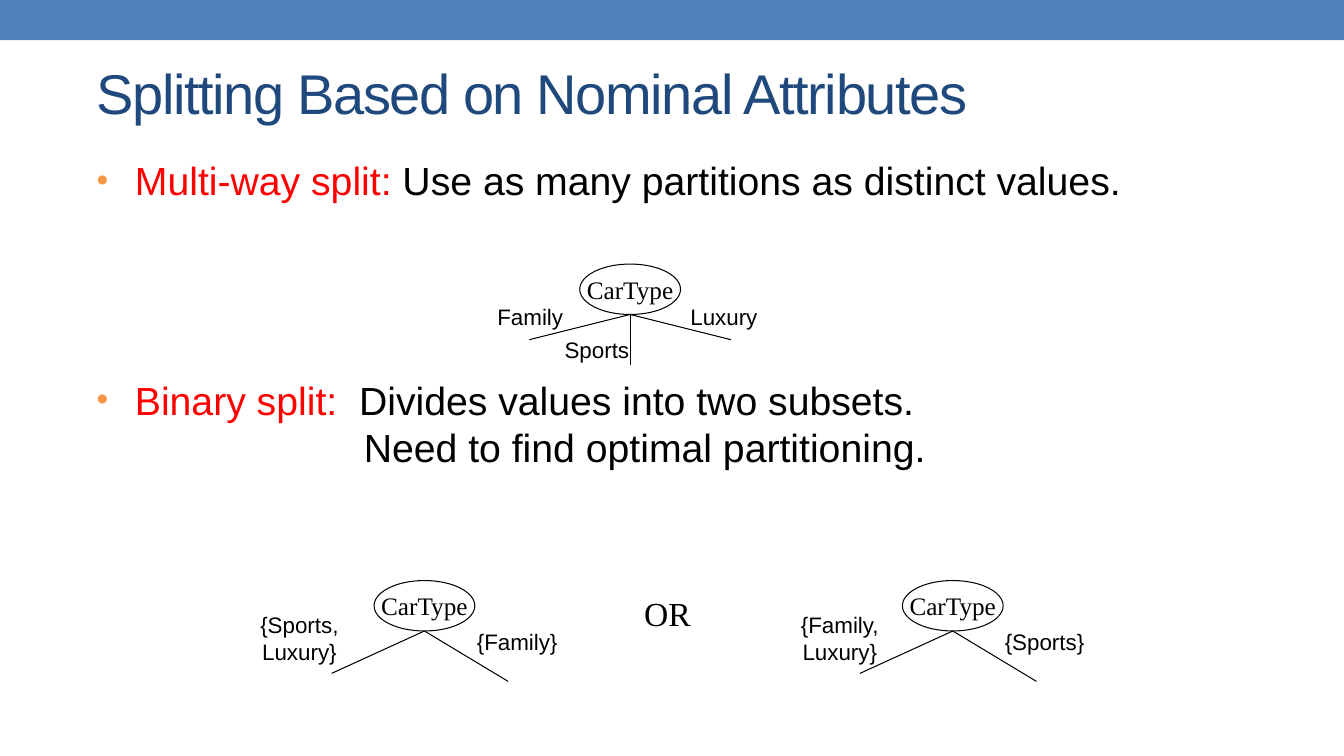
from pptx import Presentation
from pptx.dml.color import RGBColor
from pptx.enum.shapes import MSO_CONNECTOR, MSO_SHAPE
from pptx.enum.text import MSO_ANCHOR, PP_ALIGN
from pptx.oxml.ns import qn
from pptx.util import Inches, Pt
from lxml import etree

RECT, OVAL = MSO_SHAPE.RECTANGLE, MSO_SHAPE.OVAL
STRAIGHT = MSO_CONNECTOR.STRAIGHT
TOP, MIDDLE = MSO_ANCHOR.TOP, MSO_ANCHOR.MIDDLE
LEFT, CENTER = PP_ALIGN.LEFT, PP_ALIGN.CENTER
SANS, SERIF = "Arial", "Times New Roman"
BLACK, WHITE, RED = "000000", "FFFFFF", "FF0000"
BLUE, NAVY, ORANGE = "4F81BD", "1F497D", "F79646"


def color(value):
    return RGBColor.from_string(value)


def add_run(p, text, size=16, font=SANS, fill=BLACK, spacing=None):
    for i, line in enumerate(text.split("\n")):
        if i:
            p.add_line_break()
        r = p.add_run()
        r.text = line
        r.font.size = Pt(size)
        r.font.name = font
        r.font.color.rgb = color(fill)
        if spacing is not None:
            r.font._element.set("spc", str(spacing))


def indent(p, margin, hanging=0):
    pPr = p._p.get_or_add_pPr()
    pPr.set("marL", str(Inches(margin)))
    pPr.set("indent", str(-Inches(hanging)))
    return pPr


def add_bullet(p):
    pPr = indent(p, 0.38, 0.38)
    clr = etree.SubElement(pPr, qn("a:buClr"))
    etree.SubElement(clr, qn("a:srgbClr"), val=ORANGE)
    etree.SubElement(pPr, qn("a:buSzPct"), val="85000")
    etree.SubElement(pPr, qn("a:buFont"), typeface=SANS)
    etree.SubElement(pPr, qn("a:buChar"), char="•")


class Deck:
    def __init__(self):
        self.prs = Presentation()
        self.prs.slide_width = Inches(13.33)
        self.prs.slide_height = Inches(7.5)
        self.s = self.prs.slides.add_slide(self.prs.slide_layouts[6])

    def shape(self, shapes, kind, x, y, w, h, fill, line=None):
        sp = shapes.add_shape(kind, Inches(x), Inches(y), Inches(w), Inches(h))
        sp.shadow.inherit = False
        sp.fill.solid()
        sp.fill.fore_color.rgb = color(fill)
        if line:
            sp.line.color.rgb = color(line)
            sp.line.width = Pt(0.75)
        else:
            sp.line.fill.background()
        return sp

    def line(self, shapes, x1, y1, x2, y2):
        cx = shapes.add_connector(STRAIGHT, Inches(x1), Inches(y1), Inches(x2), Inches(y2))
        cx.line.color.rgb = color(BLACK)
        cx.line.width = Pt(0.75)
        etree.SubElement(cx._element.spPr, qn("a:effectLst"))

    def text(self, shapes, x, y, w, h, text, anchor=MIDDLE, align=CENTER, wrap=False, **fmt):
        tf = shapes.add_textbox(Inches(x), Inches(y), Inches(w), Inches(h)).text_frame
        tf.word_wrap = wrap
        tf.vertical_anchor = anchor
        tf.paragraphs[0].alignment = align
        add_run(tf.paragraphs[0], text, **fmt)
        return tf

    def point(self, y, h, term, text, extra=None):
        tf = self.text(self.s.shapes, 0.86, y, 11.39, h, term, anchor=TOP,
                       align=LEFT, wrap=True, size=28, fill=RED)
        add_run(tf.paragraphs[0], text, size=28)
        if extra:
            p = tf.add_paragraph()
            add_run(p, extra, size=28)
            indent(p, 2.65)
        for p in tf.paragraphs:
            p.line_spacing = Pt(33.6)
        add_bullet(tf.paragraphs[0])

    def tree(self, x, y, branches, labels):
        shapes = self.s.shapes.add_group_shape().shapes
        sp = self.shape(shapes, OVAL, x - 0.5, y - 0.5, 1, 0.5, WHITE, BLACK)
        tf = sp.text_frame
        tf.word_wrap = False
        tf.vertical_anchor = MIDDLE
        tf.paragraphs[0].alignment = CENTER
        add_run(tf.paragraphs[0], "CarType", size=18, font=SERIF)
        for dx, dy in branches:
            self.line(shapes, x, y, x + dx, y + dy)
        for dx, dy, label in labels:
            h = 0.64 if "\n" in label else 0.37
            self.text(shapes, x + dx - 0.5, y + dy - h / 2, 1, h, label)


def main():
    deck = Deck()
    shapes = deck.s.shapes
    deck.shape(shapes, RECT, 0, 0, 13.33, 0.4, BLUE)
    deck.text(shapes, 0.86, 0.5, 9.42, 0.83, "Splitting Based on Nominal Attributes",
              align=LEFT, wrap=True, size=40, fill=NAVY, spacing=-100)
    deck.point(1.5, 0.6, "Multi-way split:", " Use as many partitions as distinct values.")
    deck.point(3.68, 1.05, "Binary split:", "  Divides values into two subsets.",
               "Need to find optimal partitioning.")

    deck.tree(6.25, 3.12, [(-1, 0.25), (0, 0.5), (1, 0.25)],
              [(-0.99, 0.02, "Family"), (-0.33, 0.35, "Sports"), (0.93, 0.02, "Luxury")])
    two_way = [(-0.92, 0.42), (0.83, 0.5)]
    deck.tree(9.45, 6.26, two_way, [(-1.12, 0.07, "{Family,\nLuxury}"), (0.91, 0.1, "{Sports}")])
    deck.tree(4.21, 6.26, two_way, [(-1.24, 0.07, "{Sports,\nLuxury}"), (0.92, 0.1, "{Family}")])
    deck.text(shapes, 6.29, 5.83, 0.66, 0.5, "OR", size=24, font=SERIF)
    deck.prs.save("out.pptx")


if __name__ == "__main__":
    main()
